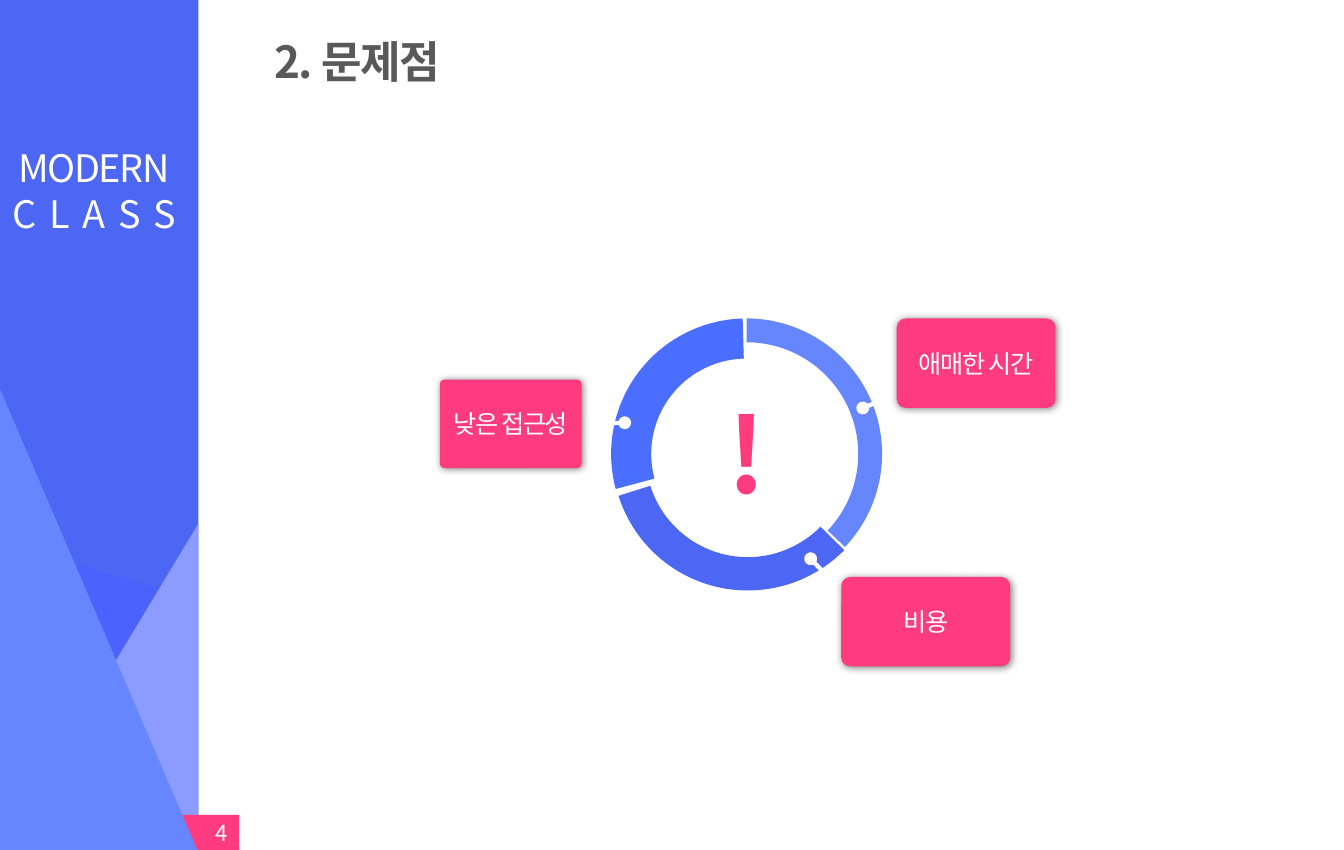
from lxml import etree
from pptx import Presentation
from pptx import util as u
from pptx.dml.color import RGBColor
from pptx.enum import shapes, text
from pptx.oxml import ns

FONT = "Noto Sans CJK KR"
BLUE, SKY, PINK, WHITE, GREY = "4C67F3", "6686FF", "FF3B80", "FFFFFF", "595959"
KIND = shapes.MSO_SHAPE
ALIGN, ANCHOR = text.PP_ALIGN, text.MSO_ANCHOR

deck = Presentation()
deck.slide_width, deck.slide_height = u.Pt(853.5), u.Pt(540)
page = deck.slides.add_slide(deck.slide_layouts[5])


def draw(kind, place, fill, adjust=(), angle=0):
    """Add a flat preset shape; place is left, top, width, height in inches."""
    shape = page.shapes.add_shape(kind, *map(u.Inches, place))
    shape.shadow.inherit = False
    shape.fill.solid()
    shape.fill.fore_color.rgb = RGBColor.from_string(fill)
    shape.line.fill.background()
    shape.rotation = angle
    for index, value in enumerate(adjust):
        shape.adjustments[index] = value
    return shape


def write(box, words, size, color, align=ALIGN.CENTER, anchor=ANCHOR.MIDDLE,
          margins=(0, 0, 0, 0), bold=False, spacing=-1):
    """Fill a shape with one formatted paragraph; spacing is in points."""
    frame = box.text_frame
    sides = ("margin_left", "margin_top", "margin_right", "margin_bottom")
    layout = dict(zip(sides, map(u.Inches, margins)), word_wrap=True,
                  auto_size=text.MSO_AUTO_SIZE.NONE, vertical_anchor=anchor)
    for name, value in layout.items():
        setattr(frame, name, value)
    para = frame.paragraphs[0]
    para.text, para.alignment, para.line_spacing = words, align, 1.0
    for span in para.runs:
        for name, value in dict(name=FONT, size=u.Pt(size), bold=bold).items():
            setattr(span.font, name, value)
        span.font.color.rgb = RGBColor.from_string(color)
        props = span._r.get_or_add_rPr()
        props.set("spc", str(round(spacing * 100)))
        etree.SubElement(props, ns.qn("a:ea"), typeface=FONT)


# Sidebar with its facets
draw(KIND.RECTANGLE, (-0.06, -0.01, 1.81, 7.51), BLUE)
builder = page.shapes.build_freeform(u.Inches(1.6), u.Inches(5.25), scale=1)
builder.add_line_segments([(u.Inches(x), u.Inches(y)) for x, y in ((0.95, 6.33), (0.16, 4.83))])
facet = builder.convert_to_shape()
facet.shadow.inherit = False
facet.fill.solid()
facet.fill.fore_color.rgb = RGBColor.from_string("4B62FF")
facet.line.fill.background()
draw(KIND.ISOSCELES_TRIANGLE, (0.01, 4.62, 1.74, 2.89), "8B9BFF", [1])
draw(KIND.ROUNDED_RECTANGLE, (1.02, 7.19, 0.8, 0.31), PINK, [0.02])
draw(KIND.ISOSCELES_TRIANGLE, (0, 3.43, 1.74, 4.07), SKY, [0])

# Page number
number = draw(KIND.RECTANGLE, (1.8, 7.19, 0.31, 0.31), PINK)
write(number, "4", 14, WHITE, ALIGN.RIGHT, margins=(0, 0, 0.1, 0))

# Sidebar title, brought in front of the facets
title = page.shapes.title
page.shapes._spTree.append(title._element)
for name, value in dict(left=-0.04, top=0.18, width=1.74, height=3.13).items():
    setattr(title, name, u.Inches(value))
write(title, "MODERN\vC  L  A  S  S", 24, WHITE, anchor=ANCHOR.TOP,
      margins=(0, 1.1, 0, 0.05), spacing=-0.9)

# Ring of three arcs around the exclamation mark
RING = 2.39
for left, top, fill, adjust, angle in (
        (5.4, 2.82, BLUE, (97.5, 168.22, 0.123), 242.1),
        (5.39, 2.81, "4A6EFF", (99, 161, 0.148), 0),
        (5.39, 2.81, SKY, (99, 179.04, 0.088), 105)):
    draw(KIND.BLOCK_ARC, (left, top, RING, RING), fill, adjust, angle)
mark = page.shapes.add_textbox(*map(u.Inches, (5.95, 3.39, 1.27, 1.21)))
write(mark, "!", 66, PINK, anchor=ANCHOR.TOP, margins=(0.1, 0.05, 0.1, 0.05), bold=True, spacing=-3)

# Problem labels, each tied to its arc by a round-ended line
for words, place, corner, start, end in (
        ("비용", (7.42, 5.09, 1.49, 0.79), 0.1, (7.15, 4.93), (7.68, 5.49)),
        ("애매한 시간", (7.91, 2.81, 1.4, 0.79), 0.1, (7.61, 3.6), (8.28, 3.33)),
        ("낮은 접근성", (3.88, 3.35, 1.25, 0.78), 0.05, (5.51, 3.73), (4.98, 3.75))):
    tie = page.shapes.add_connector(shapes.MSO_CONNECTOR.STRAIGHT, *map(u.Inches, start + end))
    tie.line.width = u.Pt(2.75)
    tie.line.color.rgb = RGBColor.from_string(WHITE)
    for tag in ("a:headEnd", "a:tailEnd"):
        etree.SubElement(tie.line._get_or_add_ln(), ns.qn(tag), type="oval")
    etree.SubElement(tie._element.spPr, ns.qn("a:effectLst"))

    label = draw(KIND.ROUNDED_RECTANGLE, place, PINK, [corner])
    write(label, words, 16, WHITE, spacing=-0.8)
    effects = label._element.spPr.find(ns.qn("a:effectLst"))
    shadow = etree.SubElement(effects, ns.qn("a:outerShdw"), blurRad=str(u.Pt(5)),
                              dist=str(u.Pt(1)), dir=str(45 * 60000), rotWithShape="0")
    tint = etree.SubElement(shadow, ns.qn("a:srgbClr"), val="000000")
    etree.SubElement(tint, ns.qn("a:alpha"), val="49000")

# Heading
heading = page.shapes.add_textbox(*map(u.Inches, (2.3, 0.23, 9.89, 0.61)))
write(heading, "2. 문제점", 28, GREY, ALIGN.LEFT, margins=(0.12, 0, 0, 0), bold=True)

deck.save("out.pptx")
